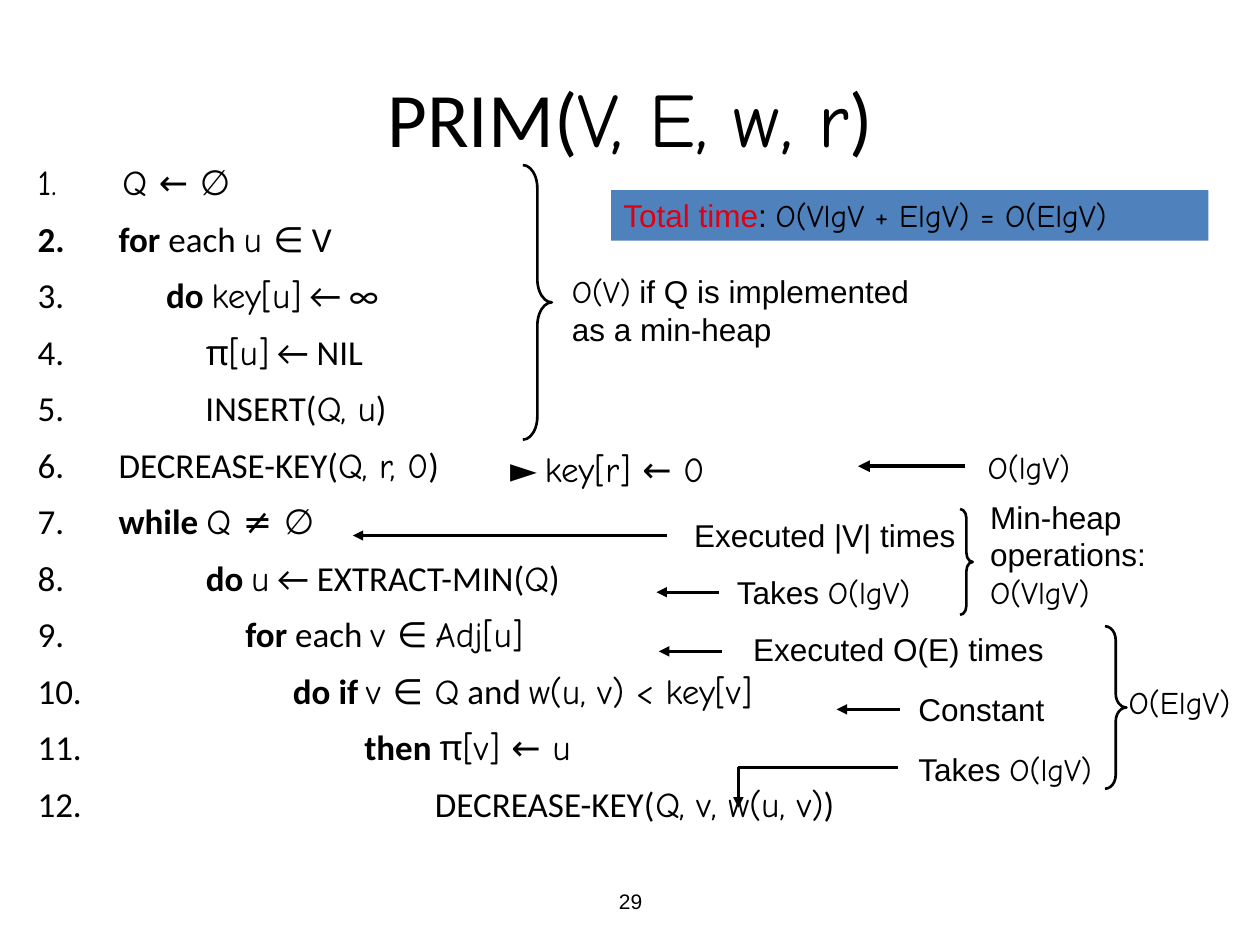
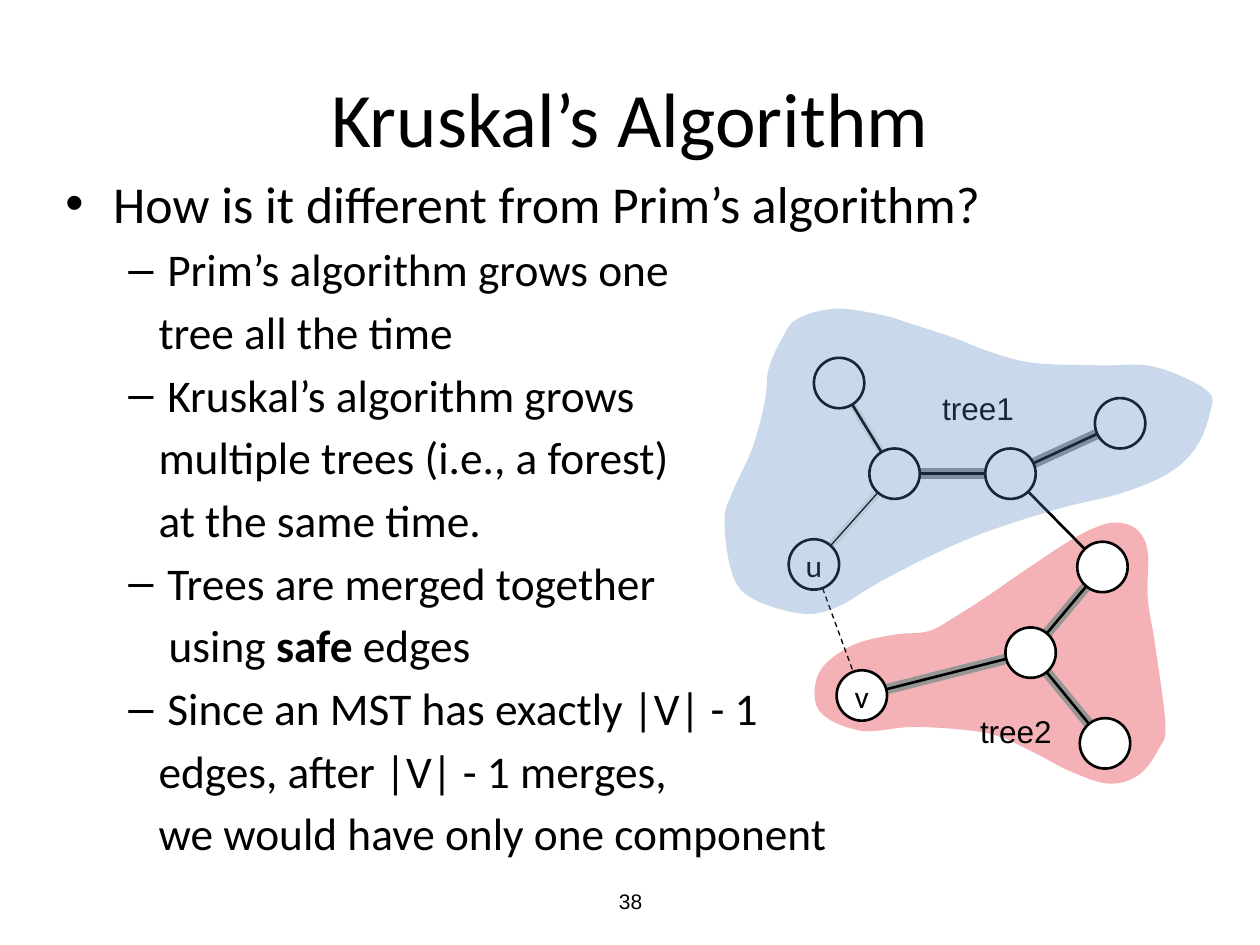
from dataclasses import dataclass
from math import hypot

from lxml.etree import SubElement
from pptx import Presentation
from pptx.dml.color import RGBColor as RGB
from pptx.enum.dml import MSO_LINE as DASH
from pptx.enum.shapes import MSO_CONNECTOR as CONN, MSO_SHAPE as SHAPE
from pptx.enum.text import MSO_ANCHOR as ANCHOR, PP_ALIGN as ALIGN
from pptx.oxml.ns import qn
from pptx.util import Inches, Pt


@dataclass(frozen=True)
class Theme:
    """Colours, fonts and type sizes of the deck."""
    black: str = "000000"
    white: str = "FFFFFF"
    blue: str = "4F81BD"
    red: str = "DD0111"
    grey: str = "969696"
    pale: str = "EEECE1"
    body: str = "Calibri"
    math: str = "Comic Neue"
    note: str = "Arial"
    title_size: float = 44
    code_size: float = 20
    note_size: float = 18
    page_size: float = 12
    bullet_sizes: tuple = (29.6, 25.9)


@dataclass(frozen=True)
class Box:
    """A region in inches whose contents are placed from its top left corner."""
    x: float
    y: float
    w: float
    h: float = 0.4

    def inner(self, x, y, w, h=0.4):
        """Return a box placed relative to this one."""
        return Box(self.x + x, self.y + y, w, h)

    def point(self, x, y):
        """Return a point of this box in slide lengths."""
        return Inches(self.x + x), Inches(self.y + y)

    def lengths(self):
        """Return left, top, width and height."""
        return [Inches(v) for v in (self.x, self.y, self.w, self.h)]


T = Theme()
C, B, M, A = ({"name": T.body}, {"name": T.body, "bold": True},
              {"name": T.math}, {"name": T.note})
RED = {**A, "color": T.red}

TITLE = Box(0.5, 0.3, 9, 1.25)
PAGE = Box(3.42, 6.95, 3.17)

CODE = [
    (0, [(M, " Q ← ∅")]),
    (0, [(B, " for "), (C, "each "), (M, "u "), (C, "∈ V")]),
    (7, [(B, "do "), (M, "key[u]"), (C, " ← ∞")]),
    (12, [(M, "π[u]"), (C, " ← NIL")]),
    (12, [(C, "INSERT("), (M, "Q, u"), (C, ")")]),
    (1, [(C, "DECREASE-KEY("), (M, "Q, r, 0"), (C, ")")]),
    (1, [(B, "while "), (M, "Q ≠ ∅")]),
    (12, [(B, "do "), (M, "u"), (C, " ← EXTRACT-MIN("), (M, "Q"), (C, ")")]),
    (17, [(B, "for "), (C, "each "), (M, "v "), (C, "∈ "), (M, "Adj[u]")]),
    (23, [(B, "do if "), (M, "v ∈ Q"), (C, " and "), (M, "w(u, v) < key[v]")]),
    (32, [(B, "then "), (M, "π[v] ← u")]),
    (41, [(C, "DECREASE-KEY("), (M, "Q, v, w(u, v)"), (C, ")")]),
]

NOTES = [
    ((1.64, 0.81, 3.14, 0.7), [[(M, "O(V)"), (A, " if Q is implemented as a min-heap")]]),
    ((2.61, 2.75, 2.35), [[(A, "Executed |V| times")]]),
    ((2.95, 3.2, 1.78), [[(A, "Takes "), (M, "O(lgV)")]]),
    ((4.96, 2.6, 1.8, 1), [[(A, "Min-heap operations:")], [(M, "O(VlgV)")]]),
    ((3.08, 3.65, 2.57), [[(A, "Executed O(E) times")]]),
    ((4.39, 4.13, 1.28), [[(A, "Constant")]]),
    ((4.39, 4.6, 1.78), [[(A, "Takes "), (M, "O(lgV)")]]),
    ((6.06, 4.07, 1.18), [[(M, "O(ElgV)")]]),
    ((4.94, 2.21, 1.2), [[(M, "O(lgV)")]]),
]
BRACES = [((1.35, 0.01, 0.23, 2.18), 0.805), ((4.82, 2.74, 0.1, 0.84), 0.723),
          ((5.97, 3.67, 0.17, 1.29), 0.644)]
ARROWS = [((2.49, 2.95), (0, 2.95), 1.5), ((2.91, 3.4), (2.41, 3.4), 1.5),
          ((2.93, 3.87), (2.43, 3.87), 1.5), ((4.34, 4.33), (3.84, 4.33), 1.5),
          ((4.86, 2.4), (4.01, 2.4), 2.25), ((3.06, 4.79), (3.06, 5.11), 1.5)]

POINTS = [
    (0, "•", 0.38, "How is it different from Prim’s algorithm?"),
    (1, "–", 0.81, "Prim’s algorithm grows one"),
    (1, None, 0.74, "tree all the time"),
    (1, "–", 0.81, "Kruskal’s algorithm grows"),
    (1, None, 0.74, "multiple trees (i.e., a forest)"),
    (1, None, 0.74, "at the same time."),
    (1, "–", 0.81, "Trees are merged together"),
    (1, None, 0.82, [(C, "using "), (B, "safe"), (C, " edges")]),
    (1, "–", 0.81, "Since an MST has exactly |V| - 1"),
    (1, None, 0.74, "edges, after |V| - 1 merges,"),
    (1, None, 0.74, "we would have only one component"),
]

RADIUS = 0.2
NODES = {"top": (0.96, 0.64), "left": (1.4, 1.36), "mid": (2.32, 1.36),
         "right": (3.19, 0.96), "u": (0.76, 2.08), "v": (1.14, 3.12),
         "upper": (3.05, 2.1), "hub": (2.48, 2.78), "lower": (3.07, 3.5)}
EDGES = [
    ("left", "mid", T.grey, 6, 1.5), ("mid", "right", T.grey, 6, 1.5),
    ("v", "hub", T.grey, 6, 1.5), ("hub", "upper", T.grey, 6, 1.5),
    ("hub", "lower", T.grey, 6, 1.5), ("u", "left", T.pale, 4.5, 0.75),
    ("top", "left", T.pale, 4.5, 1.5), ("mid", "upper", None, 0, 1.5),
    ("u", "v", None, 0, 0.75),
]
TREE1 = [
    (0.63, 0.13), (0.51, 0.28), (0.4, 0.53), (0.37, 0.79), (0.27, 1.16), (0.12, 1.49),
    (0.05, 1.73), (0.11, 2.15), (0.27, 2.35), (0.66, 2.47), (0.94, 2.42), (1.28, 2.22),
    (1.73, 1.99), (2.16, 1.81), (2.73, 1.63), (3.18, 1.52), (3.55, 1.37), (3.78, 1.17),
    (3.9, 0.89), (3.88, 0.7), (3.46, 0.51), (3.04, 0.5), (2.5, 0.48), (2.15, 0.39),
    (1.87, 0.28), (1.53, 0.17), (1.3, 0.1), (0.93, 0.05)]
TREE2 = [
    (1.67, 2.61), (1.38, 2.64), (1.05, 2.73), (0.8, 2.94), (0.8, 3.24), (1.13, 3.4),
    (1.57, 3.37), (2.14, 3.42), (2.48, 3.56), (2.79, 3.72), (3.1, 3.82), (3.34, 3.75),
    (3.5, 3.54), (3.55, 3.35), (3.47, 2.73), (3.41, 2.35), (3.41, 1.98), (3.33, 1.81),
    (3.19, 1.75), (3.04, 1.77), (2.81, 1.88), (2.46, 2.11), (2.11, 2.35), (1.89, 2.49)]


def set_all(obj, values):
    """Set attributes from a dict, with colours given as hex."""
    for name, value in values.items():
        if name == "color":
            obj.color.rgb = RGB.from_string(value)
        else:
            setattr(obj, name, value)


def add_runs(p, runs, size):
    """Add styled runs to a paragraph."""
    for style, text in runs:
        r = p.add_run()
        r.text = text
        set_all(r.font, {"size": Pt(size), "bold": False, "color": T.black, **style})


def write(tf, paras, size, align=ALIGN.LEFT, **frame):
    """Fill a text frame with paragraphs of runs."""
    set_all(tf, {"word_wrap": True, "vertical_anchor": ANCHOR.TOP, **frame})
    for i, runs in enumerate(paras):
        p = tf.add_paragraph() if i else tf.paragraphs[0]
        p.alignment = align
        add_runs(p, runs, size)
    return tf.paragraphs


def add_text(s, box, paras, size=T.note_size, **frame):
    """Add a text box and return its paragraphs."""
    return write(s.shapes.add_textbox(*box.lengths()).text_frame, paras, size, **frame)


def add_shape(s, kind, box, fill=None, width=0):
    """Add a preset shape with a plain fill and a black outline."""
    sp = s.shapes.add_shape(kind, *box.lengths())
    paint(sp, fill, width)
    return sp


def paint(sp, fill, width=0):
    """Set fill and outline of a shape without a shadow."""
    sp.shadow.inherit = False
    if fill:
        sp.fill.solid()
        sp.fill.fore_color.rgb = RGB.from_string(fill)
    else:
        sp.fill.background()
    if width:
        set_all(sp.line, {"color": T.black, "width": Pt(width)})
    else:
        sp.line.fill.background()


def add_line(s, box, start, end, width, color=T.black, arrow=False, dash=None):
    """Add a straight connector between two points of a box."""
    ln = s.shapes.add_connector(CONN.STRAIGHT, *box.point(*start), *box.point(*end))
    set_all(ln.line, {"color": color, "width": Pt(width), "dash_style": dash})
    if arrow:
        SubElement(ln._element.spPr.find(qn("a:ln")), qn("a:tailEnd"), type="triangle")
    SubElement(ln._element.spPr, qn("a:effectLst"))


def indent(p, left, hang=0, char=None, number=None):
    """Set margins and an optional bullet or number."""
    ppr = p._p.get_or_add_pPr()
    ppr.set("marL", str(Inches(left)))
    ppr.set("indent", str(-Inches(hang)))
    if char:
        SubElement(ppr, qn("a:buFont"), typeface=T.note)
        SubElement(ppr, qn("a:buChar"), char=char)
    if number:
        SubElement(ppr, qn("a:buAutoNum"), type=number)


def add_slide(prs, title, page):
    """Add a title-only slide with its page number."""
    s = prs.slides.add_slide(prs.slide_layouts[5])
    sp = s.shapes.title
    sp.left, sp.top, sp.width, sp.height = TITLE.lengths()
    write(sp.text_frame, [title], T.title_size, ALIGN.CENTER, vertical_anchor=ANCHOR.MIDDLE)
    add_text(s, PAGE, [[(A, page)]], T.page_size, align=ALIGN.CENTER,
             vertical_anchor=ANCHOR.MIDDLE)
    return s


def add_code(s, box):
    """Add the numbered pseudocode."""
    paras = [([(C, " " * lead)] if lead else []) + runs for lead, runs in CODE]
    for i, p in enumerate(add_text(s, box, paras, T.code_size)):
        indent(p, 0.58, 0.58, number="arabicPeriod")
        set_all(p, {"line_spacing": 1.2, "space_before": Pt(3.5 if i else 0)})


def add_costs(s, box):
    """Add the running-time notes with their braces and arrows."""
    for place, adj in BRACES:
        sp = add_shape(s, SHAPE.RIGHT_BRACE, box.inner(*place), width=1.5)
        sp.adjustments[0] = adj
    for place, paras in NOTES:
        add_text(s, box.inner(*place), paras)
    add_text(s, box.inner(1.15, 2.2, 2.2), [[(C, "► "), (M, "key[r] ← 0")]], T.code_size)
    for start, end, width in ARROWS:
        add_line(s, box, start, end, width, arrow=True)
    add_line(s, box, (3.06, 4.79), (4.33, 4.79), 1.5)
    total = add_shape(s, SHAPE.RECTANGLE, box.inner(2.05, 0.21, 4.74), T.blue)
    write(total.text_frame, [[(RED, "Total time"), (A, ": "),
                              (M, "O(VlgV + ElgV) = O(ElgV)")]], T.note_size)


def add_points(s, box):
    """Add the bulleted comparison."""
    tf = s.shapes.add_textbox(*box.lengths()).text_frame
    tf.word_wrap = True
    for i, (level, char, left, text) in enumerate(POINTS):
        p = tf.add_paragraph() if i else tf.paragraphs[0]
        p.level = level
        indent(p, left, (0.38, 0.31)[level] if char else 0, char)
        p.space_before = Pt(4.7 if i else 0)
        add_runs(p, [(C, text)] if isinstance(text, str) else text, T.bullet_sizes[level])


def smooth(points, steps=6):
    """Return points of a closed Catmull-Rom curve."""
    n = len(points)
    curve = []
    for i in range(n):
        quad = [points[(i + k) % n] for k in (-1, 0, 1, 2)]
        for t in (k / steps for k in range(steps)):
            curve.append(tuple(
                b + t * (c - a + t * (2 * a - 5 * b + 4 * c - d + t * (3 * (b - c) + d - a))) / 2
                for a, b, c, d in zip(*quad)))
    return curve


def add_tree_area(s, box, points, color):
    """Add a translucent area around a tree."""
    first, *rest = [box.point(*pt) for pt in smooth(points)]
    fb = s.shapes.build_freeform(*first)
    fb.add_line_segments(rest, close=True)
    sp = fb.convert_to_shape()
    paint(sp, color)
    SubElement(sp._element.spPr.find(".//" + qn("a:srgbClr")), qn("a:alpha"), val="30000")


def add_graph(s, box):
    """Add the forest of two trees."""
    add_tree_area(s, box, TREE2, T.red)
    for start, end, halo, halo_width, width in EDGES:
        (x1, y1), (x2, y2) = NODES[start], NODES[end]
        k = RADIUS / hypot(x2 - x1, y2 - y1)
        dx, dy = k * (x2 - x1), k * (y2 - y1)
        ends = (x1 + dx, y1 + dy), (x2 - dx, y2 - dy)
        if halo:
            add_line(s, box, *ends, halo_width, halo)
        add_line(s, box, *ends, width, dash=DASH.DASH if (start, end) == ("u", "v") else None)
    for name, (x, y) in NODES.items():
        place = box.inner(x - RADIUS, y - RADIUS, 2 * RADIUS, 2 * RADIUS)
        sp = add_shape(s, SHAPE.OVAL, place, T.white, 1.5)
        if name in ("u", "v"):
            write(sp.text_frame, [[(C, name)]], T.note_size, ALIGN.CENTER,
                  vertical_anchor=ANCHOR.MIDDLE, word_wrap=False)
    for name, x, y in (("tree1", 1.68, 0.64), ("tree2", 1.98, 3.2)):
        add_text(s, box.inner(x, y, 0.77), [[(A, name)]], word_wrap=False)
    add_tree_area(s, box, TREE1, T.blue)


def main():
    """Build and save the deck."""
    prs = Presentation()
    prs.slide_width, prs.slide_height = Inches(10), Inches(7.5)
    s = add_slide(prs, [(C, "PRIM("), (M, "V, E, w, r"), (C, ")")], "29")
    add_code(s, Box(0.2, 1.16, 9.27, 6.12))
    add_costs(s, Box(2.8, 1.3, 7.2, 5.2))
    s = add_slide(prs, [(C, "Kruskal’s Algorithm")], "38")
    add_points(s, Box(0.42, 1.31, 9, 5.55))
    add_graph(s, Box(5.7, 2.4, 3.95, 3.85))
    prs.save("out.pptx")


if __name__ == "__main__":
    main()
